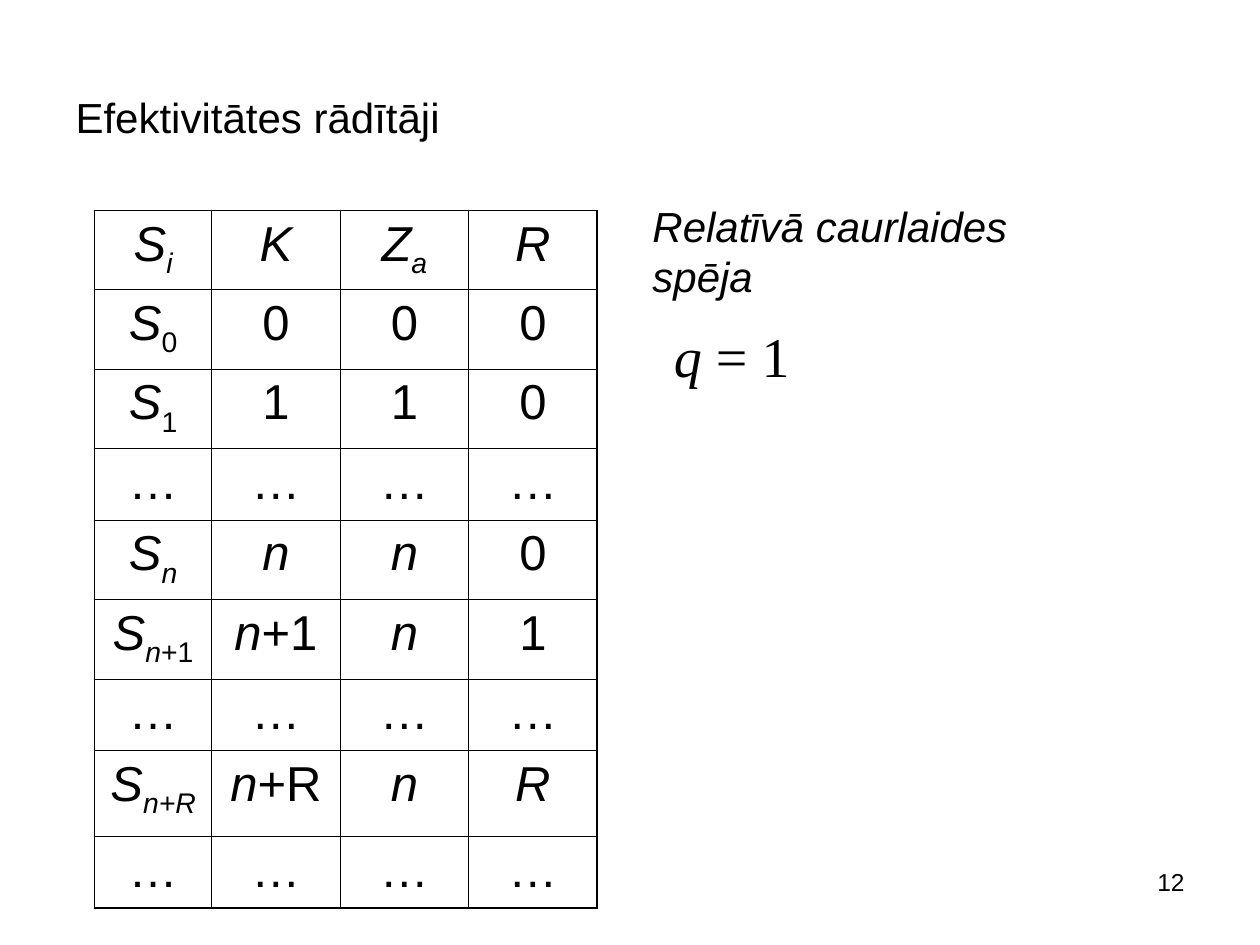
from lxml import etree
from pptx import Presentation
from pptx.dml.color import RGBColor
from pptx.enum import text
from pptx.oxml.ns import qn
from pptx.util import Inches, Pt

# Content: each cell is a list of (words, style); i = italic, s = subscript
TITLE = [("Efektivitātes rādītāji", "")]
LABEL = [("Relatīvā caurlaides spēja", "i")]
RATE = [("q", "i"), (" = 1", "")]
PAGE = [("12", "")]

S, N, R = ("S", "i"), ("n", "i"), ("R", "i")
ZERO, ONE = ("0", ""), ("1", "")
DOTS = [[("…", "")]] * 4
ROWS = [
    [[S, ("i", "is")], [("K", "i")], [("Z", "i"), ("a", "is")], [R]],
    [[S, ("0", "s")], [ZERO], [ZERO], [ZERO]],
    [[S, ("1", "s")], [ONE], [ONE], [ZERO]],
    DOTS,
    [[S, ("n", "is")], [N], [N], [ZERO]],
    [[S, ("n", "is"), ("+1", "s")], [N, ("+1", "")], [N], [ONE]],
    DOTS,
    [[S, ("n+R", "is")], [N, ("+R", "")], [N], [R]],
    DOTS,
]
WIDTHS = [0.93] + [1.02] * 3
TALL, LOW, LAST = 0.63, 0.57, 0.68
HEIGHTS = [LOW if row is DOTS else TALL for row in ROWS]
HEIGHTS[7] = LAST

THEME = {
    "ink": "000000", "sans": "Arial", "serif": "Times New Roman",
    "head": 24, "cell": 28, "math": 32, "page": 14,
    "thin": 0.45, "thick": 1.08,
}
ALIGN = text.PP_ALIGN


def write(frame, runs, size, align=ALIGN.LEFT, face="sans"):
    para = frame.paragraphs[0]
    para.alignment = align
    for words, style in runs:
        run = para.add_run()
        run.text = words
        font = run.font
        font.name, font.size = THEME[face], Pt(THEME[size])
        font.italic = "i" in style
        font.color.rgb = RGBColor.from_string(THEME["ink"])
        if "s" in style:
            run._r.get_or_add_rPr().set("baseline", "-25000")


def add_text(slide, box, runs, size, wrap=False, **look):
    frame = slide.shapes.add_textbox(*map(Inches, box)).text_frame
    frame.word_wrap = wrap
    if not wrap:
        frame.auto_size = text.MSO_AUTO_SIZE.SHAPE_TO_FIT_TEXT
    write(frame, runs, size, **look)


def edge(cell, outer):
    props = cell._tc.get_or_add_tcPr()
    for spot, side in enumerate("LRTB"):
        width = THEME["thick" if side in outer else "thin"]
        line = etree.Element(qn("a:ln" + side), w=str(int(Pt(width))))
        fill = etree.SubElement(line, qn("a:solidFill"))
        etree.SubElement(fill, qn("a:srgbClr"), val=THEME["ink"])
        props.insert(spot, line)


def add_grid(slide, left, top):
    size = (left, top, sum(WIDTHS), sum(HEIGHTS))
    grid = slide.shapes.add_table(len(ROWS), len(WIDTHS), *map(Inches, size)).table
    grid.first_row = grid.horz_banding = False
    for col, width in zip(grid.columns, WIDTHS):
        col.width = Inches(width)
    for r, (row, height) in enumerate(zip(ROWS, HEIGHTS)):
        grid.rows[r].height = Inches(height)
        for c, runs in enumerate(row):
            cell = grid.cell(r, c)
            cell.fill.background()
            write(cell.text_frame, runs, "cell", ALIGN.CENTER)
            sides = {"L": c == 0, "R": c == len(row) - 1,
                     "T": r == 0, "B": r == len(ROWS) - 1}
            edge(cell, [side for side, on in sides.items() if on])


def main():
    deck = Presentation()
    deck.slide_width, deck.slide_height = Inches(10), Inches(7.5)
    slide = deck.slides.add_slide(deck.slide_layouts[5])

    # Title
    title = slide.shapes.title
    title.left, title.top, title.width, title.height = map(Inches, (0.5, 0.3, 9, 1.25))
    title.text_frame.vertical_anchor = text.MSO_ANCHOR.MIDDLE
    write(title.text_frame, TITLE, "head")

    # State table
    add_grid(slide, 0.75, 1.67)

    # Formula, its label and the page number
    add_text(slide, (5.25, 2.5, 1.12, 0.64), RATE, "math", face="serif")
    add_text(slide, (5.08, 1.54, 3.9, 0.5), LABEL, "head")
    add_text(slide, (7.17, 6.83, 2.33, 0.52), PAGE, "page", wrap=True, align=ALIGN.RIGHT)

    deck.save("out.pptx")


if __name__ == "__main__":
    main()
